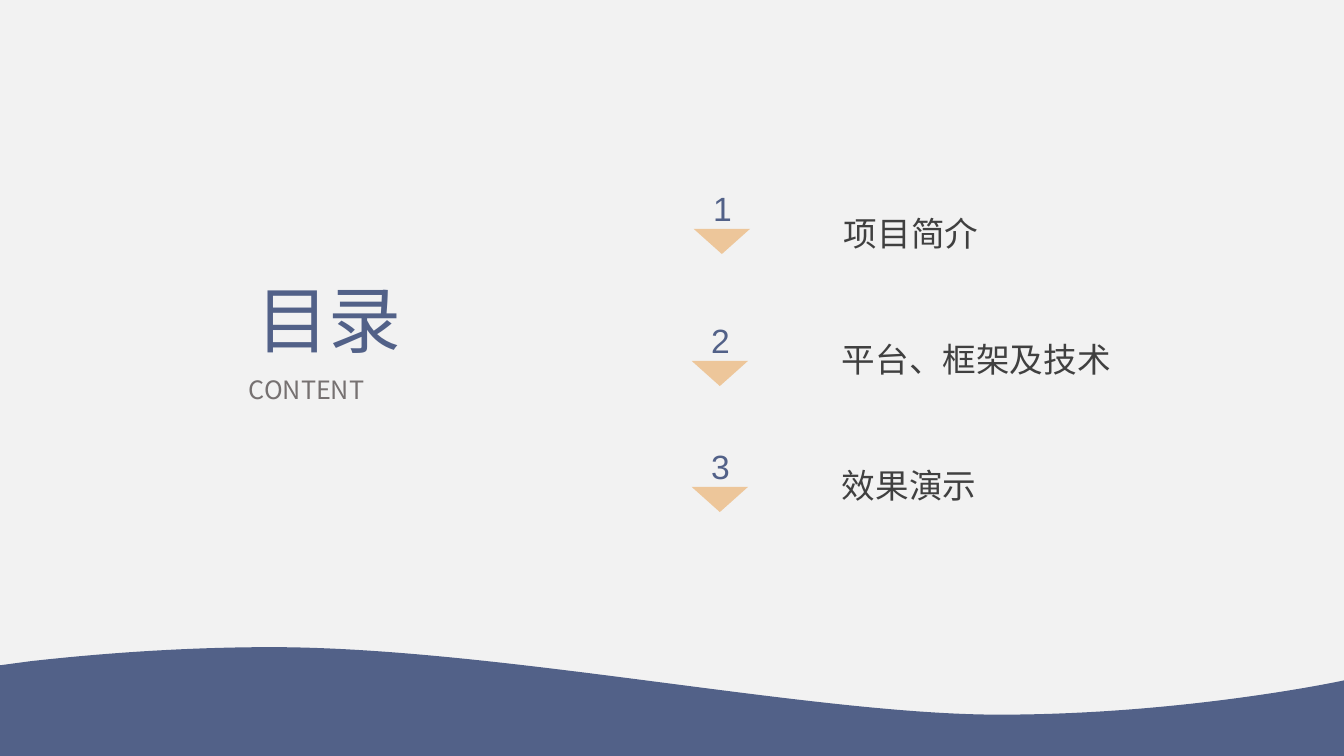
from lxml.etree import SubElement
from pptx import Presentation
from pptx.dml.color import RGBColor
from pptx.enum.text import MSO_ANCHOR, MSO_AUTO_SIZE, PP_ALIGN
from pptx.oxml.ns import qn
from pptx.util import Inches, Pt

GREY_WHITE = RGBColor(0xF2, 0xF2, 0xF2)
NAVY = RGBColor(0x52, 0x61, 0x88)
SAND = RGBColor(0xED, 0xC6, 0x9A)
CHARCOAL = RGBColor(0x40, 0x40, 0x40)
GREY = RGBColor(0x76, 0x71, 0x71)
CJK_FONT = "Noto Sans CJK SC"

# (number, topic, left and top of the number, latin font, line spacing)
AGENDA = [
    ("1", "项目简介", 6.87, 1.86, CJK_FONT, 1.3),
    ("2", "平台、框架及技术", 6.85, 3.17, "Arial", 1.0),
    ("3", "效果演示", 6.85, 4.42, "Arial", 1.0),
]
# Each segment ends in its last point; three points make a cubic curve.
WAVE_START = (2.69, 6.42)
WAVE_SEGMENTS = [
    [(4.93, 6.42), (8.05, 7.09), (9.91, 7.09)],
    [(11.76, 7.09), (13.33, 6.75), (13.33, 6.75)],
    [(13.33, 7.53)],
    [(0, 7.53)],
    [(0, 6.6)],
    [(0.3, 6.56)],
    [(1.01, 6.48), (1.85, 6.42), (2.69, 6.42)],
]


def place(shape, left, top, width, height):
    shape.left, shape.top = Inches(left), Inches(top)
    shape.width, shape.height = Inches(width), Inches(height)


def write(shape, text, size, color, font, align, anchor=MSO_ANCHOR.TOP):
    frame = shape.text_frame
    frame.word_wrap = True
    frame.auto_size = MSO_AUTO_SIZE.SHAPE_TO_FIT_TEXT
    frame.vertical_anchor = anchor
    paragraph = frame.paragraphs[0]
    paragraph.alignment = align
    run = paragraph.add_run()
    run.text = text
    run.font.size = Pt(size)
    run.font.color.rgb = color
    run.font.name = font
    east_asian = run.font._element.makeelement(qn("a:ea"), {"typeface": CJK_FONT})
    run.font._element.find(qn("a:latin")).addnext(east_asian)
    return frame


def add_outline(shapes, points, color):
    """Closed, filled freeform through the points."""
    start, *rest = [(Inches(x), Inches(y)) for x, y in points]
    builder = shapes.build_freeform(*start)
    builder.add_line_segments(rest)
    outline = builder.convert_to_shape()
    outline.shadow.inherit = False
    outline.fill.solid()
    outline.fill.fore_color.rgb = color
    outline.line.fill.background()
    return outline


def add_wave(slide):
    ends = [WAVE_START] + [segment[-1] for segment in WAVE_SEGMENTS]
    wave = add_outline(slide.shapes, ends, NAVY)
    lines = list(wave._element.iter(qn("a:lnTo")))
    for line, segment in zip(lines, WAVE_SEGMENTS):
        if len(segment) == 3:
            curve = line.makeelement(qn("a:cubicBezTo"), {})
            for x, y in segment:
                SubElement(curve, qn("a:pt"), x=str(Inches(x) - wave.left),
                           y=str(Inches(y) - wave.top))
            line.getparent().replace(line, curve)


def add_tight_text(shapes, box, *style):
    """Text box without inner margins."""
    frame = write(shapes.add_textbox(*map(Inches, box)), *style)
    frame.margin_left = frame.margin_right = 0
    frame.margin_top = frame.margin_bottom = 0
    return frame


def add_agenda_item(slide, number, topic, left, top, font, spacing):
    shapes = slide.shapes.add_group_shape().shapes
    height = 0.4 * spacing
    topic_frame = add_tight_text(
        shapes, (left + 1.5, top + 0.39 - height / 2, 3.18, height),
        topic, 24, CHARCOAL, font, PP_ALIGN.LEFT, MSO_ANCHOR.MIDDLE)
    if spacing != 1:
        topic_frame.paragraphs[0].line_spacing = spacing
    x, y = left + 0.01, top + 0.41
    add_outline(shapes, [(x, y), (x + 0.56, y), (x + 0.28, y + 0.25)], SAND)
    add_tight_text(shapes, (left, top, 0.59, 0.4), number, 24, NAVY, "Arial",
                   PP_ALIGN.CENTER, MSO_ANCHOR.BOTTOM)


def main():
    deck = Presentation()
    deck.slide_width, deck.slide_height = Inches(13.33), Inches(7.5)
    slide = deck.slides.add_slide(deck.slide_layouts[5])
    slide.background.fill.solid()
    slide.background.fill.fore_color.rgb = GREY_WHITE

    add_wave(slide)
    title = slide.shapes.title
    place(title, 2.44, 2.68, 1.92, 0.97)
    write(title, "目录", 52, NAVY, CJK_FONT, PP_ALIGN.JUSTIFY)
    subtitle = slide.shapes.add_textbox(
        Inches(2.37), Inches(3.66), Inches(2.12), Inches(0.4))
    write(subtitle, "CONTENT", 18, GREY, CJK_FONT, PP_ALIGN.JUSTIFY)
    for item in AGENDA:
        add_agenda_item(slide, *item)

    deck.save("out.pptx")


if __name__ == "__main__":
    main()
